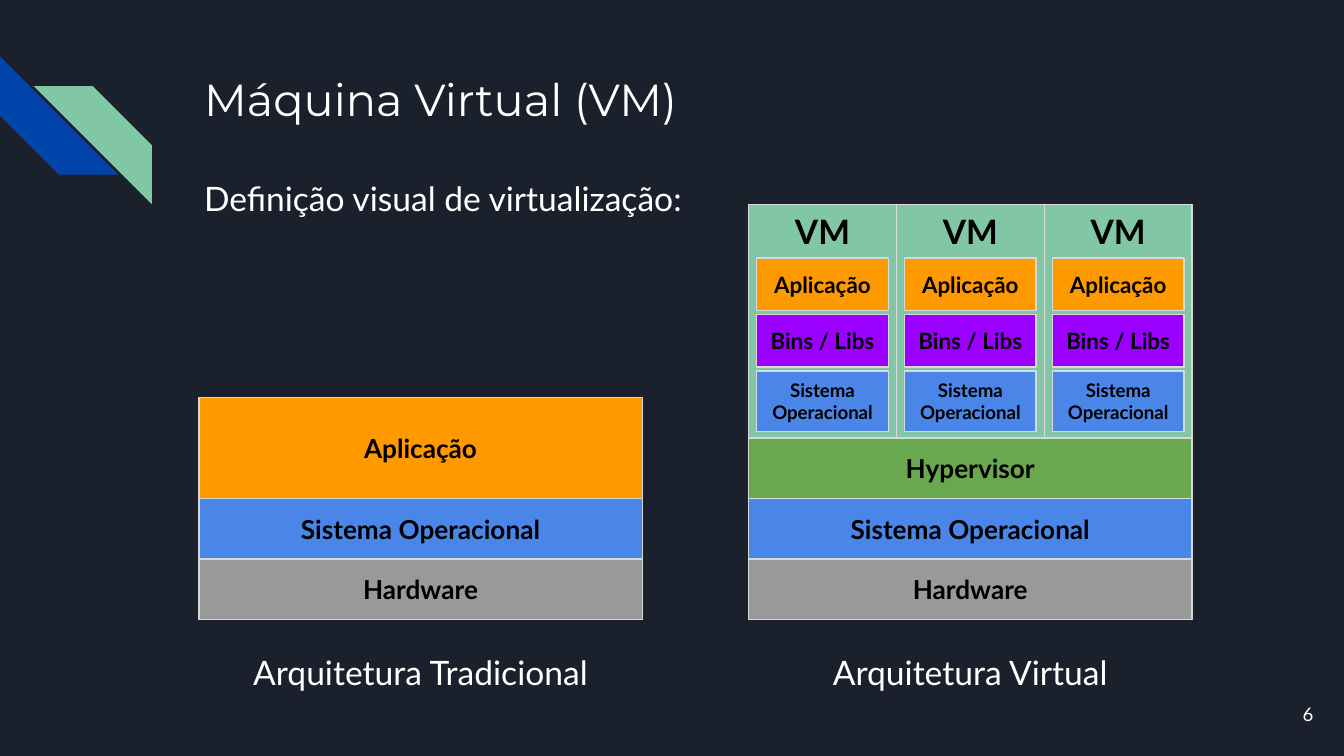
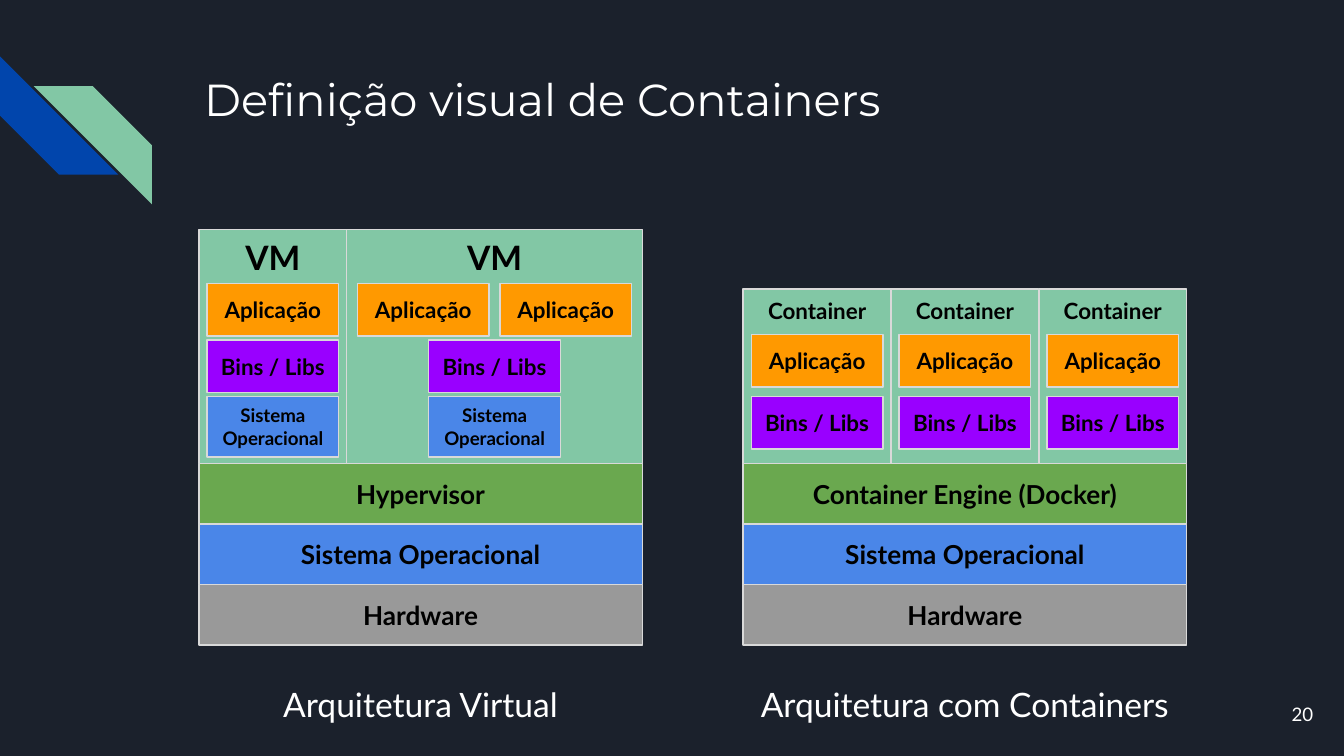
from dataclasses import dataclass

from pptx import Presentation
from pptx.dml.color import RGBColor
from pptx.enum.shapes import MSO_SHAPE
from pptx.enum.text import MSO_ANCHOR, PP_ALIGN
from pptx.util import Inches, Pt


@dataclass(frozen=True)
class Theme:
    background: str = "1B212C"
    text: str = "FFFFFF"
    ink: str = "000000"
    outline: str = "D9D9D9"
    royal: str = "0145AC"
    mint: str = "82C7A5"
    orange: str = "FF9900"
    purple: str = "9900FF"
    blue: str = "4A86E8"
    green: str = "6AA84F"
    gray: str = "999999"
    title_font: str = "Montserrat"
    body_font: str = "Lato"
    title_size: int = 24
    body_size: int = 18
    layer_size: int = 14
    chip_size: int = 12
    small_size: int = 10


THEME = Theme()

# Layers: text, fill, height. Listed from the bottom of a stack upwards.
HARDWARE = ("Hardware", THEME.gray, 0.45)
SYSTEM = ("Sistema Operacional", THEME.blue, 0.45)
HYPERVISOR = ("Hypervisor", THEME.green, 0.45)
ENGINE = ("Container Engine (Docker)", THEME.green, 0.45)
APPLICATION = ("Aplicação", THEME.orange, 0.75)

# Chips: text, fill, height, type size.
APP_CHIP = ("Aplicação", THEME.orange, 0.39, THEME.chip_size)
LIBS_CHIP = ("Bins / Libs", THEME.purple, 0.39, THEME.chip_size)
SYSTEM_CHIP = ("Sistema Operacional", THEME.blue, 0.45, THEME.small_size)

# Guests: name, type size, label offset and height, box height,
# then chip rows as (offset from the box top, chip).
VM = dict(name="VM", size=THEME.body_size, label=(-0.05, 0.39), height=1.74,
          rows=[(0.4, APP_CHIP), (0.82, LIBS_CHIP), (1.24, SYSTEM_CHIP)])
CONTAINER = dict(name="Container", size=THEME.chip_size, label=(-0.04, 0.29), height=1.3,
                 rows=[(0.34, APP_CHIP), (0.8, LIBS_CHIP)])

# Each stack: caption, left, layers, guest kind, applications in each guest.
SLIDES = [
    dict(title="Máquina Virtual (VM)", subtitle="Definição visual de virtualização:",
         number=6, base=4.61, caption_top=4.75,
         stacks=[
             ("Arquitetura Tradicional", 1.48, [HARDWARE, SYSTEM, APPLICATION], None, []),
             ("Arquitetura Virtual", 5.57, [HARDWARE, SYSTEM, HYPERVISOR], VM, [1, 1, 1]),
         ]),
    dict(title="Definição visual de Containers", subtitle=None,
         number=20, base=4.8, caption_top=4.99,
         stacks=[
             ("Arquitetura Virtual", 1.48, [HARDWARE, SYSTEM, HYPERVISOR], VM, [1, 2]),
             ("Arquitetura com Containers", 5.53, [HARDWARE, SYSTEM, ENGINE], CONTAINER,
              [1, 1, 1]),
         ]),
]

SLIDE_WIDTH = 10
SLIDE_HEIGHT = SLIDE_WIDTH * 9 / 16
STACK_WIDTH = 3.3
COLUMN = STACK_WIDTH / 3
CHIP_WIDTH, CHIP_GAP = 0.98, 0.08
INSET = 0.1
STRIPE = 0.88


def color(value):
    return RGBColor.from_string(value)


def write(box, text, size, ink=THEME.text, font=THEME.body_font, bold=False,
          align=PP_ALIGN.LEFT, anchor=MSO_ANCHOR.TOP, side=INSET):
    frame = box.text_frame
    frame.word_wrap = True
    frame.vertical_anchor = anchor
    frame.margin_top = frame.margin_bottom = Inches(INSET)
    frame.margin_left = frame.margin_right = Inches(side)
    frame.text = text
    para = frame.paragraphs[0]
    para.alignment = align
    span = para.runs[0].font
    span.name, span.size, span.bold = font, Pt(size), bold
    span.color.rgb = color(ink)


def add_label(shapes, text, left, top, width, height, size, **style):
    box = shapes.add_textbox(*map(Inches, (left, top, width, height)))
    write(box, text, size, **style)


def add_filled(shapes, kind, left, top, width, height, fill):
    shape = shapes.add_shape(kind, *map(Inches, (left, top, width, height)))
    shape.shadow.inherit = False
    shape.fill.solid()
    shape.fill.fore_color.rgb = color(fill)
    shape.line.fill.background()
    return shape


def add_block(shapes, left, top, width, height, fill, text="", size=THEME.layer_size,
              side=INSET):
    block = add_filled(shapes, MSO_SHAPE.RECTANGLE, left, top, width, height, fill)
    block.line.color.rgb = color(THEME.outline)
    block.line.width = Pt(0.75)
    if text:
        write(block, text, size, ink=THEME.ink, bold=True, align=PP_ALIGN.CENTER,
              anchor=MSO_ANCHOR.MIDDLE, side=side)


def add_guest(slide, guest, left, bottom, applications):
    """Draw one virtual machine or container, one column wide per application."""
    shapes = slide.shapes.add_group_shape().shapes
    width = COLUMN * applications
    top = bottom - guest["height"]
    add_block(shapes, left, top, width, guest["height"], THEME.mint)
    offset, height = guest["label"]
    margin = (COLUMN - CHIP_WIDTH) / 2
    add_label(shapes, guest["name"], left + margin, top + offset, width - 2 * margin, height,
              guest["size"], ink=THEME.ink, bold=True, align=PP_ALIGN.CENTER)
    for offset, chip in guest["rows"]:
        text, fill, height, size = chip
        count = applications if chip is APP_CHIP else 1
        step = CHIP_WIDTH + CHIP_GAP
        start = left + (width - count * step + CHIP_GAP) / 2
        for index in range(count):
            add_block(shapes, start + index * step, top + offset, CHIP_WIDTH, height,
                      fill, text, size, side=0.08)


def add_stack(slide, base, caption_top, caption, left, layers, guest, guests):
    top = base
    for text, fill, height in layers:
        top -= height
        add_block(slide.shapes, left, top, STACK_WIDTH, height, fill, text)
    column_left = left
    for applications in guests:
        add_guest(slide, guest, column_left, top, applications)
        column_left += COLUMN * applications
    add_label(slide.shapes, caption, left, caption_top, STACK_WIDTH, 0.45,
              THEME.body_size, align=PP_ALIGN.CENTER)


def add_frame(slide, title, number):
    """Add what all slides share: background, corner stripes, title and number."""
    slide.background.fill.solid()
    slide.background.fill.fore_color.rgb = color(THEME.background)
    stripes = slide.shapes.add_group_shape().shapes
    lower = add_filled(stripes, MSO_SHAPE.DIAGONAL_STRIPE, 0, 0.42, STRIPE, STRIPE, THEME.royal)
    lower.rotation = 270
    upper = add_filled(stripes, MSO_SHAPE.DIAGONAL_STRIPE, 0.25, 0.64, STRIPE, STRIPE, THEME.mint)
    upper._element.spPr.xfrm.set("flipH", "1")
    add_label(slide.shapes, title, 1.42, 0.43, 7.12, 0.68, THEME.title_size,
              font=THEME.title_font)
    add_label(slide.shapes, str(number), 9.27, 5.1, 0.6, 0.43, THEME.small_size,
              align=PP_ALIGN.RIGHT, anchor=MSO_ANCHOR.MIDDLE)


def main():
    deck = Presentation()
    deck.slide_width, deck.slide_height = Inches(SLIDE_WIDTH), Inches(SLIDE_HEIGHT)
    for page in SLIDES:
        slide = deck.slides.add_slide(deck.slide_layouts[6])
        add_frame(slide, page["title"], page["number"])
        if page["subtitle"]:
            add_label(slide.shapes, page["subtitle"], 1.42, 1.22, 3.85, 0.69, THEME.body_size)
        for stack in page["stacks"]:
            add_stack(slide, page["base"], page["caption_top"], *stack)
    deck.save("out.pptx")


if __name__ == "__main__":
    main()
